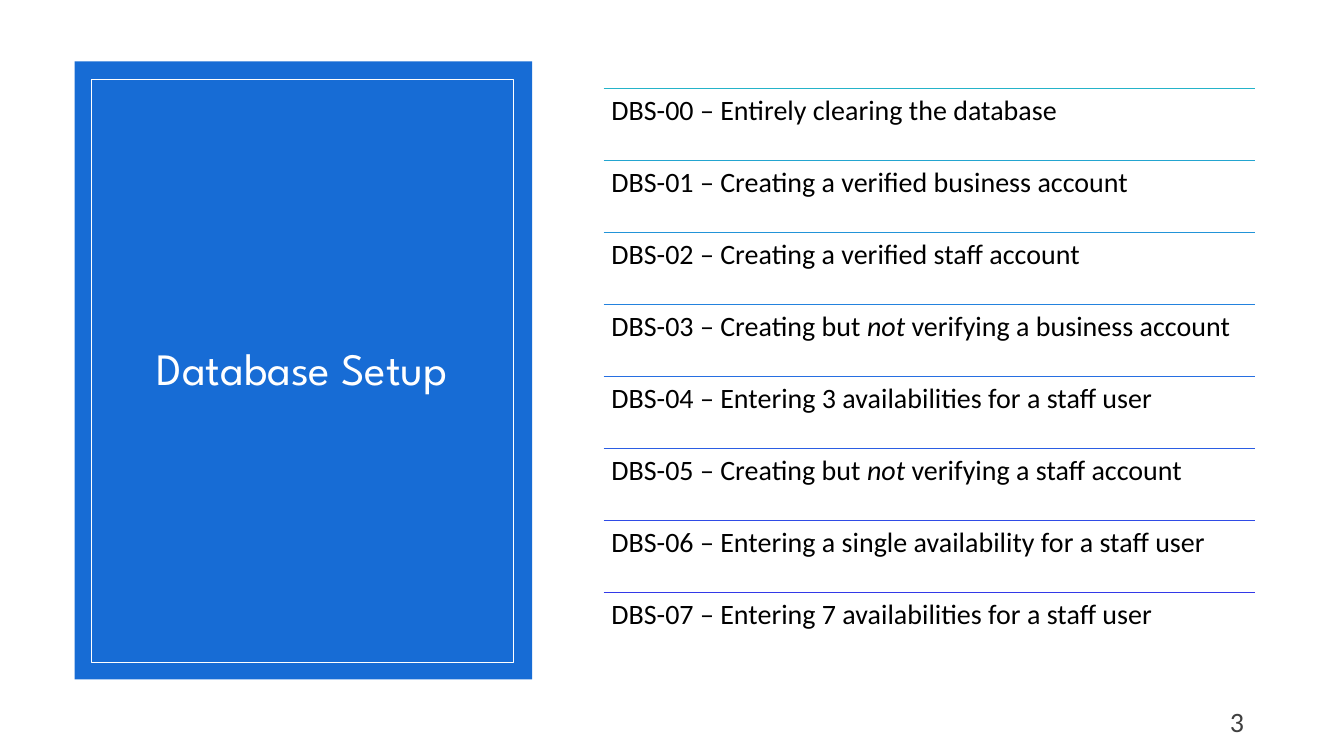
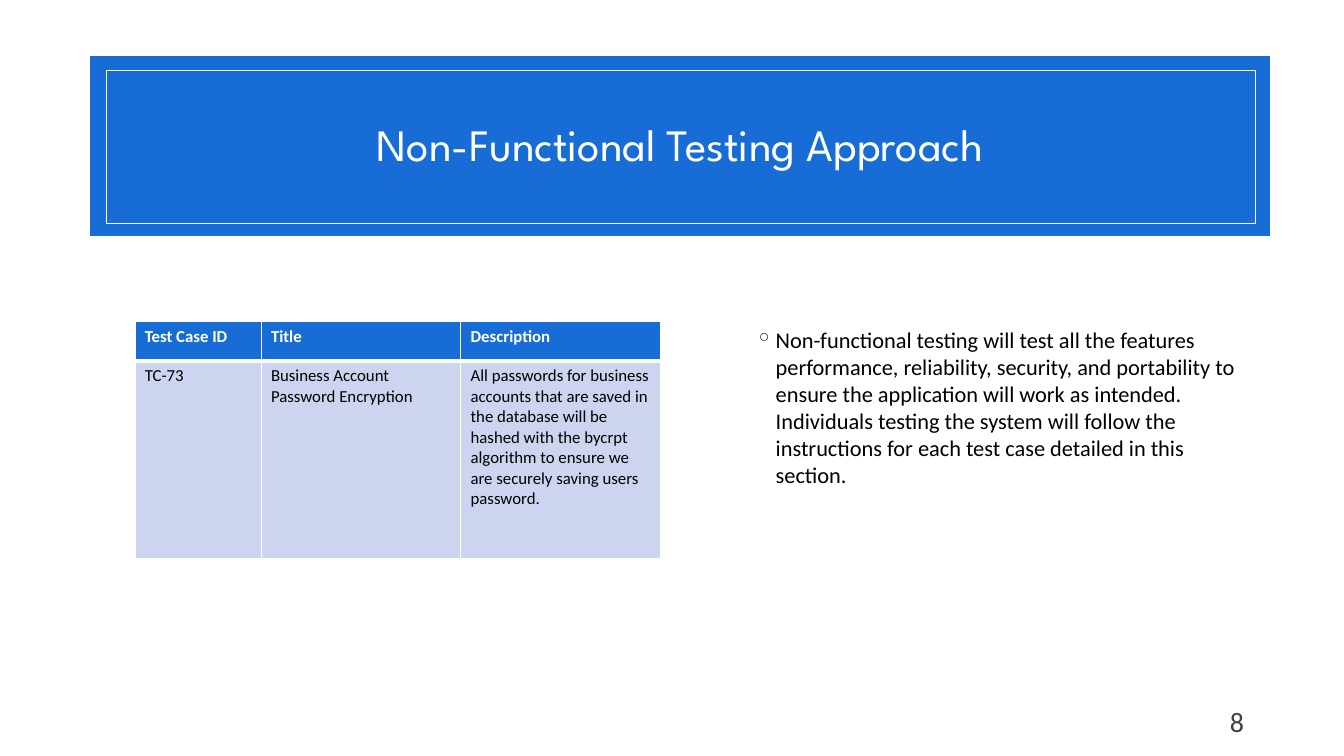
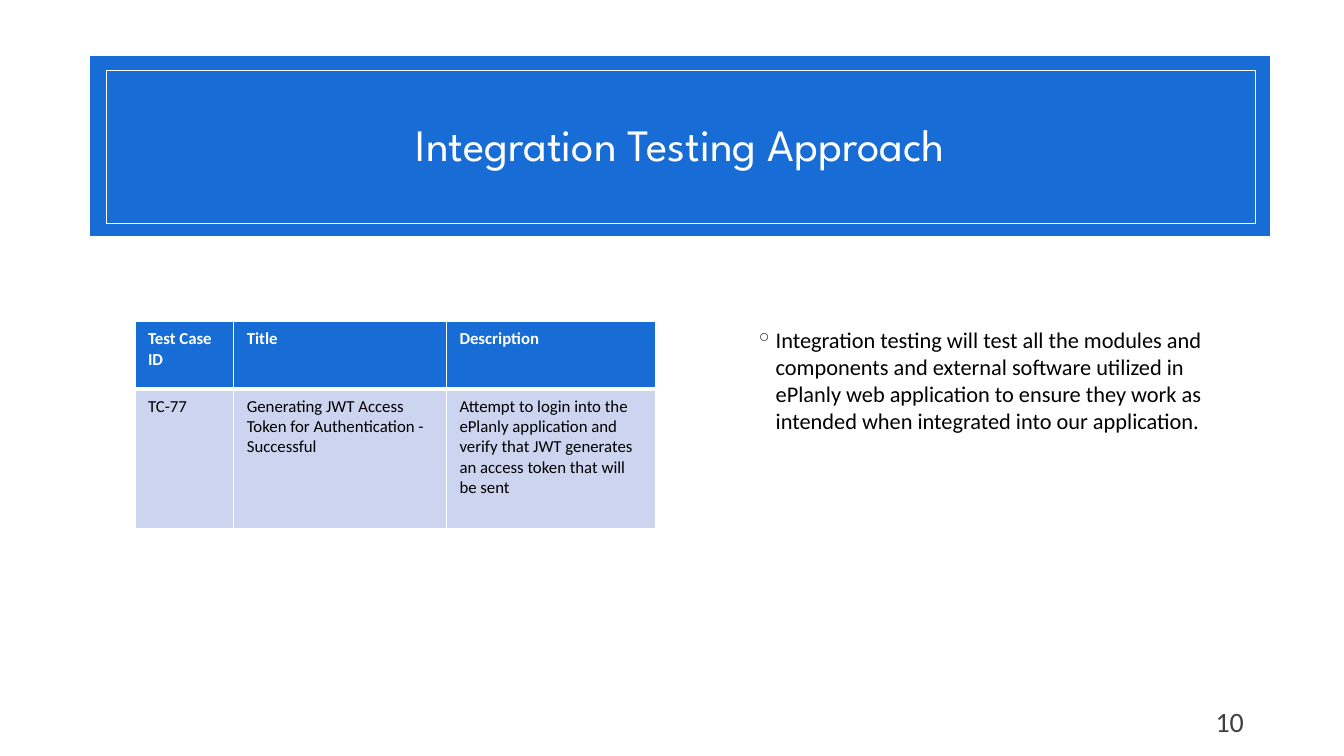
from lxml import etree
from pptx import Presentation
from pptx.dml.color import RGBColor
from pptx.enum import shapes, text
from pptx.oxml import ns
from pptx.util import Cm, Pt

COLORS = {
    "blue": "176CD5",
    "white": "FFFFFF",
    "black": "000000",
    "number": "404040",
    "bullet": "262626",
    "cell": "CCD4EF",
}
RULE_COLORS = ["24B3C9", "23A5D0", "2294D8", "2382DE",
               "276FE1", "2B5DE3", "2F4BE6", "3339E8"]
BODY_FONT = "Calibri"
TITLE_FONT = "League Spartan"

# Panel and inner frame of each title style: left, top, width, height in cm
SIDE_PANEL = (1.88, 1.55, 11.53, 15.57)
SIDE_FRAME = (2.31, 2.01, 10.62, 14.68)
BANNER = (2.26, 1.4, 29.77, 4.57)
BANNER_FRAME = (2.67, 1.78, 28.96, 3.84)


def rgb(color):
    return RGBColor.from_string(COLORS.get(color, color))


def add_xml(parent, tag, **attributes):
    return etree.SubElement(parent, ns.qn(tag), attributes)


class Deck:
    """Holds the style and the current slide."""

    def __init__(self):
        self.presentation = Presentation()
        self.presentation.slide_width = Cm(33.87)
        self.presentation.slide_height = Cm(19.05)
        self.slide = None

    def new_slide(self, number):
        layout = self.presentation.slide_layouts[6]
        self.slide = self.presentation.slides.add_slide(layout)
        paragraph = self.text_box((29.26, 17.7, 2.34, 1.02), str(number), 20,
                                  "number", anchor=text.MSO_ANCHOR.BOTTOM)
        paragraph.alignment = text.PP_ALIGN.RIGHT

    def format_runs(self, paragraph, size, color, font=BODY_FONT, bold=False):
        for run in paragraph.runs:
            run.font.size = Pt(size)
            run.font.name = font
            run.font.bold = bold
            run.font.color.rgb = rgb(color)

    def rectangle(self, box, fill=None, line_width=None):
        shape = self.slide.shapes.add_shape(
            shapes.MSO_SHAPE.RECTANGLE, *map(Cm, box))
        shape.shadow.inherit = False
        if fill:
            shape.fill.solid()
            shape.fill.fore_color.rgb = rgb(fill)
        else:
            shape.fill.background()
        if line_width:
            shape.line.color.rgb = rgb("white")
            shape.line.width = Pt(line_width)
        else:
            shape.line.fill.background()
        return shape

    def title(self, words, panel, frame, panel_line=None):
        self.rectangle(panel, "blue", panel_line)
        text_frame = self.rectangle(frame, line_width=0.5).text_frame
        text_frame.word_wrap = True
        text_frame.vertical_anchor = text.MSO_ANCHOR.MIDDLE
        text_frame.text = words
        paragraph = text_frame.paragraphs[0]
        paragraph.alignment = text.PP_ALIGN.CENTER
        paragraph.line_spacing = 0.9
        self.format_runs(paragraph, 32, "white", TITLE_FONT)

    def text_box(self, box, words, size, color="black", inset=None,
                 anchor=text.MSO_ANCHOR.TOP):
        """Words between asterisks become italic."""
        text_frame = self.slide.shapes.add_textbox(*map(Cm, box)).text_frame
        text_frame.word_wrap = True
        text_frame.vertical_anchor = anchor
        if inset is not None:
            text_frame.margin_left = text_frame.margin_right = Cm(inset)
            text_frame.margin_top = text_frame.margin_bottom = Cm(inset)
        paragraph = text_frame.paragraphs[0]
        for index, part in enumerate(words.split("*")):
            run = paragraph.add_run()
            run.text = part
            run.font.italic = index % 2 == 1
        self.format_runs(paragraph, size, color)
        return paragraph

    def rule(self, left, top, width, color):
        line = self.slide.shapes.add_connector(
            shapes.MSO_CONNECTOR.STRAIGHT,
            Cm(left), Cm(top), Cm(left + width), Cm(top))
        line.line.color.rgb = rgb(color)
        line.line.width = Pt(1)
        add_xml(line._element.spPr, "a:effectLst")

    def ruled_list(self, items, left, top, width, height):
        step = height / len(items)
        for index, (item, color) in enumerate(zip(items, RULE_COLORS)):
            row_top = top + index * step
            self.rule(left, row_top, width, color)
            paragraph = self.text_box((left, row_top, width, step), item, 20,
                                      inset=0.2)
            paragraph.line_spacing = 0.9

    def bullet(self, words):
        paragraph = self.text_box((18.03, 8.1, 13.77, 9.7), words, 16)
        paragraph.space_before = Pt(5)
        properties = paragraph._p.get_or_add_pPr()
        properties.set("marL", str(Cm(1.27)))
        properties.set("indent", str(Cm(-0.51)))
        bullet_color = add_xml(properties, "a:buClr")
        add_xml(bullet_color, "a:srgbClr", val=COLORS["bullet"])
        add_xml(properties, "a:buChar", char="◦")

    def borders(self, cell, top, bottom):
        properties = cell._tc.get_or_add_tcPr()
        for side, width in (("L", 1), ("R", 1), ("T", top), ("B", bottom)):
            line = add_xml(properties, f"a:ln{side}", w=str(Pt(width)))
            fill = add_xml(line, "a:solidFill")
            add_xml(fill, "a:srgbClr", val=COLORS["white"])

    def table(self, rows, widths, heights, margins=(0.25, 0.13)):
        table = self.slide.shapes.add_table(
            len(rows), len(widths), Cm(3.4), Cm(8.1),
            Cm(sum(widths)), Cm(sum(heights))).table
        table.horz_banding = False
        for column, width in zip(table.columns, widths):
            column.width = Cm(width)
        for row_index, words in enumerate(rows):
            header = row_index == 0
            table.rows[row_index].height = Cm(heights[row_index])
            for cell, content in zip(table.rows[row_index].cells, words):
                cell.margin_left = cell.margin_right = Cm(margins[0])
                cell.margin_top = cell.margin_bottom = Cm(margins[1])
                self.borders(cell, *((1, 3) if header else (3, 1)))
                cell.fill.solid()
                cell.fill.fore_color.rgb = rgb("blue" if header else "cell")
                cell.text_frame.text = content
                self.format_runs(cell.text_frame.paragraphs[0], 12,
                                 "white" if header else "black", bold=header)

    def approach(self, number, title, bullet, test_case, **table_style):
        """A banner slide with a test case table and a bullet beside it."""
        self.new_slide(number)
        self.bullet(bullet)
        self.title(title, BANNER, BANNER_FRAME, 0.75)
        header = ("Test Case ID", "Title", "Description")
        self.table([header, test_case], **table_style)


def main():
    deck = Deck()

    # Database setup
    deck.new_slide(3)
    deck.title("Database Setup", SIDE_PANEL, SIDE_FRAME)
    deck.ruled_list([
        "DBS-00 – Entirely clearing the database",
        "DBS-01 – Creating a verified business account",
        "DBS-02 – Creating a verified staff account",
        "DBS-03 – Creating but *not* verifying a business account",
        "DBS-04 – Entering 3 availabilities for a staff user",
        "DBS-05 – Creating but *not* verifying a staff account",
        "DBS-06 – Entering a single availability for a staff user",
        "DBS-07 – Entering 7 availabilities for a staff user",
    ], left=15.21, top=2.23, width=16.41, height=14.52)

    # Non-functional testing
    deck.approach(
        8, "Non-Functional Testing Approach",
        "Non-functional testing will test all the features performance, "
        "reliability, security, and portability to ensure the application "
        "will work as intended. Individuals testing the system will follow "
        "the instructions for each test case detailed in this section.",
        ("TC-73", "Business Account Password Encryption",
         "All passwords for business accounts that are saved in the database "
         "will be hashed with the bycrpt algorithm to ensure we are securely "
         "saving users password."),
        widths=(3.18, 5.03, 5.03), heights=(0.99, 4.98))

    # Integration testing
    deck.approach(
        10, "Integration Testing Approach",
        "Integration testing will test all the modules and components and "
        "external software utilized in ePlanly web application to ensure they "
        "work as intended when integrated into our application.",
        ("TC-77", "Generating JWT Access Token for Authentication - Successful",
         "Attempt to login into the ePlanly application and verify that JWT "
         "generates an access token that will be sent"),
        widths=(2.49, 5.36, 5.28), heights=(1.7, 3.53), margins=(0.33, 0.18))

    deck.presentation.save("out.pptx")


if __name__ == "__main__":
    main()
